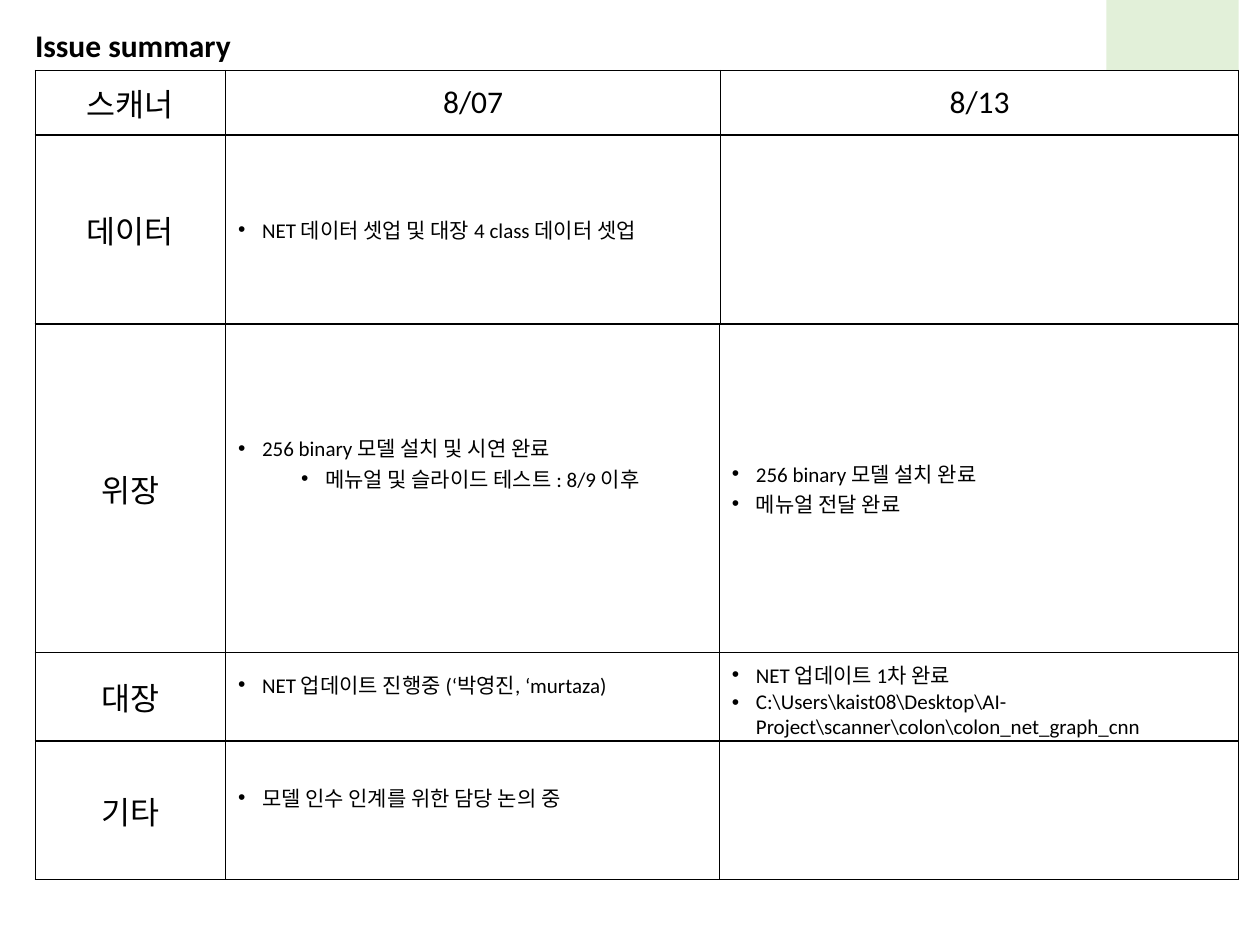
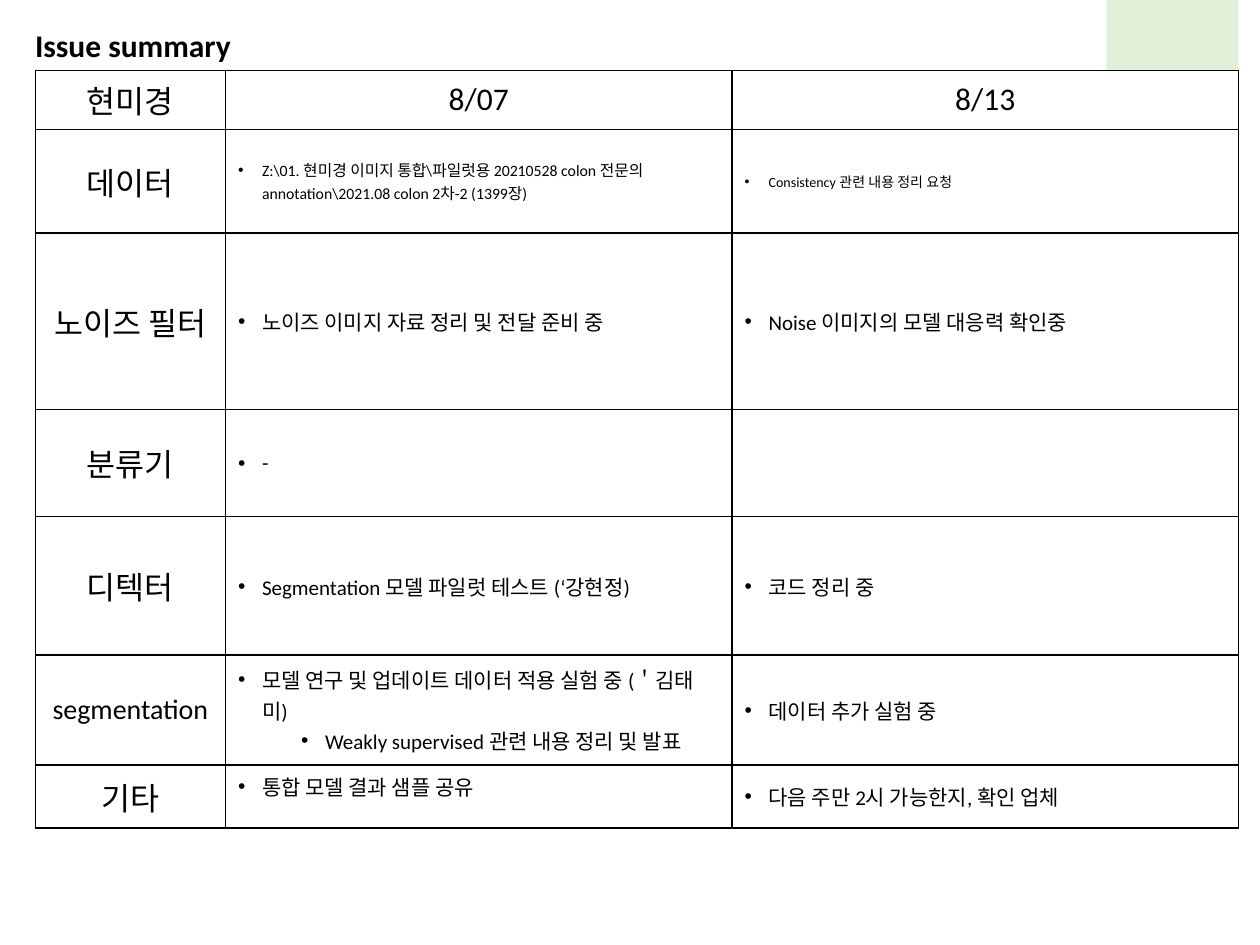
from dataclasses import dataclass

from lxml.etree import SubElement
from pptx import Presentation
from pptx.dml.color import RGBColor
from pptx.enum.shapes import MSO_SHAPE
from pptx.enum.text import MSO_ANCHOR, MSO_AUTO_SIZE, PP_ALIGN
from pptx.oxml.ns import qn
from pptx.util import Inches, Pt

COLORS = {"ink": "000000", "paper": "FFFFFF", "accent": "E2F0D9"}
FONT = "Calibri"
TABLE_LEFT = 0.28
LABEL_WIDTH = 1.51
HANGING = 0.19
SUB_INDENT = 0.5


@dataclass
class Label:
    text: str
    size: int = 18


@dataclass
class Notes:
    """Bulleted points, then sub-points; lift raises the text within its cell."""
    points: tuple = ()
    subpoints: tuple = ()
    size: int = 12
    lift: float = 0


def color(name):
    return RGBColor.from_string(COLORS[name])


def style_text(paragraph, size, bold=False):
    for run in paragraph.runs:
        run.font.name = FONT
        run.font.size = Pt(size)
        run.font.bold = bold
        run.font.color.rgb = color("ink")


def add_bullet(paragraph, level):
    paragraph.level = level
    props = paragraph._p.get_or_add_pPr()
    props.set("marL", str(Inches(HANGING + level * SUB_INDENT)))
    props.set("indent", str(-Inches(HANGING)))
    SubElement(props, qn("a:buFont"), typeface="Arial")
    SubElement(props, qn("a:buChar"), char="•")


def style_cell(cell):
    props = cell._tc.get_or_add_tcPr()
    for side in ("lnL", "lnR", "lnT", "lnB"):
        line = SubElement(props, qn(f"a:{side}"), w=str(Pt(1)))
        SubElement(SubElement(line, qn("a:solidFill")), qn("a:srgbClr"), val=COLORS["ink"])
    cell.fill.solid()
    cell.fill.fore_color.rgb = color("paper")
    cell.vertical_anchor = MSO_ANCHOR.MIDDLE


def write_label(cell, label):
    cell.text_frame.text = label.text
    paragraph = cell.text_frame.paragraphs[0]
    paragraph.alignment = PP_ALIGN.CENTER
    style_text(paragraph, label.size)


def write_notes(cell, notes):
    frame = cell.text_frame
    frame.text = "\n".join(notes.points + notes.subpoints)
    cell.margin_bottom = Inches(0.05 + 2 * notes.lift)
    if notes.points:
        for index, paragraph in enumerate(frame.paragraphs):
            add_bullet(paragraph, int(index >= len(notes.points)))
            style_text(paragraph, notes.size)


def add_issue_table(slide, top, date_widths, rows):
    """Place a table whose rows are (height, first cell, second cell, third cell)."""
    widths = (LABEL_WIDTH, *date_widths)
    heights = [row[0] for row in rows]
    table = slide.shapes.add_table(
        len(rows), len(widths), Inches(TABLE_LEFT), Inches(top),
        Inches(sum(widths)), Inches(sum(heights))).table
    table.first_row = table.horz_banding = False
    for column, width in zip(table.columns, widths):
        column.width = Inches(width)
    for table_row, (height, *contents) in zip(table.rows, rows):
        table_row.height = Inches(height)
        for cell, content in zip(table_row.cells, contents):
            style_cell(cell)
            write = write_label if isinstance(content, Label) else write_notes
            write(cell, content)


def add_heading(slide):
    corner = slide.shapes.add_shape(
        MSO_SHAPE.RECTANGLE, Inches(8.78), Inches(-0.15), Inches(1.05), Inches(1.44))
    corner.shadow.inherit = False
    corner.fill.solid()
    corner.fill.fore_color.rgb = color("accent")
    corner.line.fill.background()

    title = slide.shapes.add_textbox(Inches(0.18), Inches(0.16), Inches(3.13), Inches(0.4))
    frame = title.text_frame
    frame.word_wrap = True
    frame.auto_size = MSO_AUTO_SIZE.SHAPE_TO_FIT_TEXT
    frame.text = "Issue summary"
    style_text(frame.paragraphs[0], 18, bold=True)


def add_issue_slide(deck, *tables):
    slide = deck.slides.add_slide(deck.slide_layouts[6])
    add_heading(slide)
    for top, date_widths, rows in tables:
        add_issue_table(slide, top, date_widths, rows)


def header_row(height, device):
    return height, Label(device), Label("8/07"), Label("8/13")


SCANNER_DATA = [
    header_row(0.51, "스캐너"),
    (1.5, Label("데이터"), Notes(("NET 데이터 셋업 및 대장 4 class 데이터 셋업",)), Notes()),
]
SCANNER_ORGANS = [
    (2.61, Label("위장"),
     Notes(("256 binary 모델 설치 및 시연 완료",),
           ("메뉴얼 및 슬라이드 테스트 : 8/9 이후",), lift=0.2),
     Notes(("256 binary 모델 설치 완료", "메뉴얼 전달 완료"))),
    (0.7, Label("대장"),
     Notes(("NET 업데이트 진행중 (‘박영진, ‘murtaza)",), lift=0.1),
     Notes(("NET 업데이트 1차 완료",
            r"C:\Users\kaist08\Desktop\AI-Project\scanner\colon\colon_net_graph_cnn"))),
    (1.1, Label("기타"), Notes(("모델 인수 인계를 위한 담당 논의 중",), lift=0.1), Notes()),
]
MICROSCOPE_DATA = [
    header_row(0.47, "현미경"),
    (0.82, Label("데이터"),
     Notes((r"Z:\01. 현미경 이미지 통합\파일럿용 20210528 colon 전문의 "
            r"annotation\2021.08 colon 2차-2 (1399장)",), size=9),
     Notes(("Consistency 관련 내용 정리 요청",), size=8)),
]
MICROSCOPE_MODELS = [
    (1.4, Label("노이즈 필터"), Notes(("노이즈 이미지 자료 정리 및 전달 준비 중",)),
     Notes(("Noise 이미지의 모델 대응력 확인중",))),
    (0.85, Label("분류기"), Notes(("-",)), Notes()),
    (1.1, Label("디텍터"), Notes(("Segmentation 모델 파일럿 테스트 (‘강현정)",)),
     Notes(("코드 정리 중",))),
    (0.87, Label("segmentation", 16),
     Notes(("모델 연구 및 업데이트 데이터 적용 실험 중 (＇김태미)",),
           ("Weakly supervised 관련 내용 정리 및 발표",)),
     Notes(("데이터 추가 실험 중",))),
    (0.5, Label("기타"), Notes(("통합 모델 결과 샘플 공유",), lift=0.08),
     Notes(("다음 주만 2시 가능한지, 확인 업체",))),
]


def main():
    deck = Presentation()
    deck.slide_width, deck.slide_height = Inches(10), Inches(7.5)
    add_issue_slide(deck,
                    (0.56, (3.93, 4.11), SCANNER_DATA),
                    (2.57, (3.92, 4.12), SCANNER_ORGANS))
    add_issue_slide(deck,
                    (0.56, (4.02, 4.02), MICROSCOPE_DATA),
                    (1.85, (4.02, 4.02), MICROSCOPE_MODELS))
    deck.save("out.pptx")


if __name__ == "__main__":
    main()
